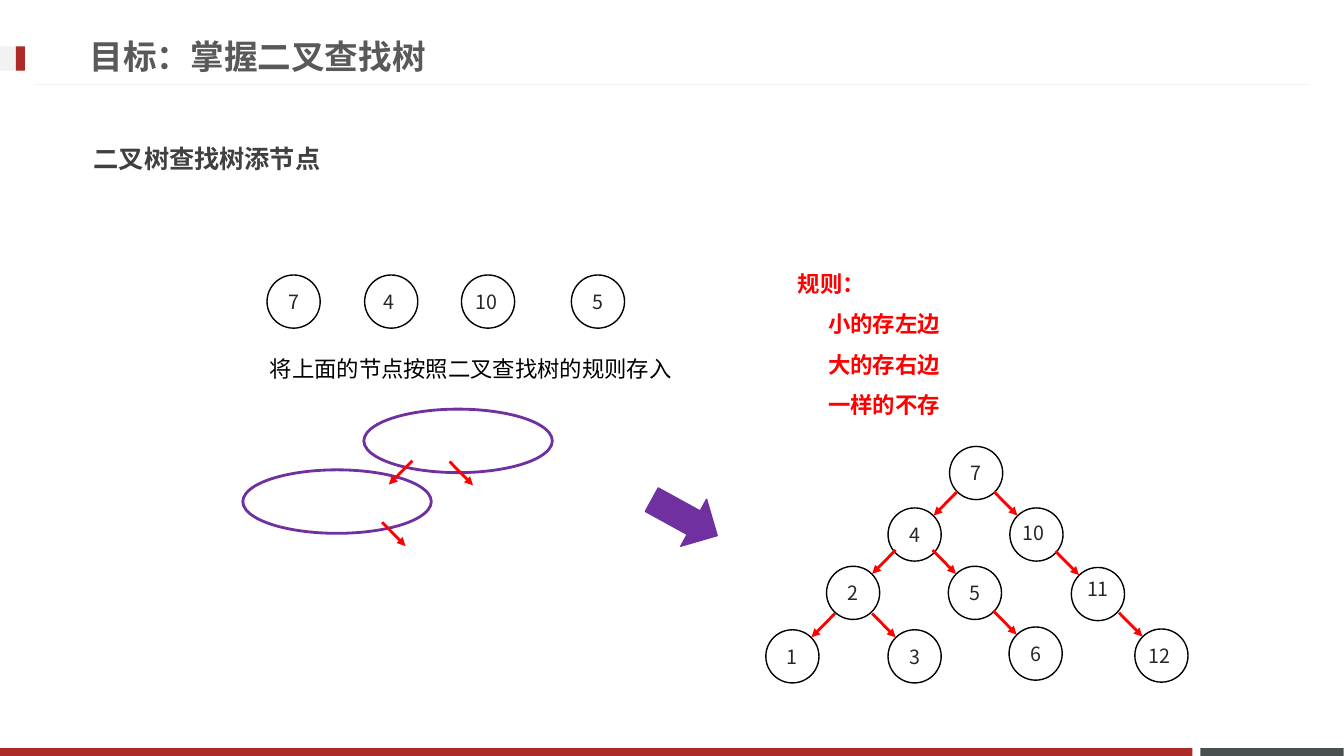
from lxml import etree
from pptx import Presentation
from pptx.dml.color import RGBColor
from pptx.enum import shapes, text
from pptx.oxml.ns import qn
from pptx.util import Cm, Pt

RED = RGBColor(0xFF, 0, 0)
BRICK = RGBColor(0xAD, 0x2B, 0x26)
SLATE = RGBColor(0x49, 0x50, 0x4F)
PALE = RGBColor(0xF2, 0xF2, 0xF2)
PURPLE = RGBColor(0x70, 0x30, 0xA0)
BLACK = RGBColor(0, 0, 0)
INK = RGBColor(0x26, 0x26, 0x26)
DARK = RGBColor(0x40, 0x40, 0x40)
GREY = RGBColor(0x59, 0x59, 0x59)
SANS, BOLD = "Noto Sans CJK SC", "Noto Sans CJK JP"

# Lengths in cm
SIZE = 1.34  # node diameter
TAG = (1.09, 0.86)  # box of a floating node label
STEP = (0.59, 0.6)  # run and drop of a branch arrow
REACH = 0.48  # child centre to arrow tip, across and up

BARS = [  # left, top, width, height, colour
    (30.25, 18.85, 3.61, 0.2, SLATE),
    (0, 18.85, 30.05, 0.2, BRICK),
    (0, 1.17, 0.63, 0.61, PALE),
    (0.4, 1.17, 0.23, 0.61, BRICK),
]
# label, left, top, shift of a floating label (None: text sits in the node)
QUEUE = [
    ("7", 6.73, 6.93, None),
    ("4", 9.19, 6.93, (-0.06, 0)),
    ("10", 11.63, 6.93, (-0.03, 0)),
    ("5", 14.4, 6.93, (0, 0)),
]
TREE = [
    ("7", 23.93, 11.25, None),
    ("4", 22.38, 12.8, None),
    ("10", 25.45, 12.8, (-0.07, -0.05)),
    ("2", 20.83, 14.27, None),
    ("5", 23.9, 14.27, None),
    ("11", 27, 14.3, (0, -0.13)),
    ("1", 19.3, 15.87, None),
    ("3", 22.38, 15.87, None),
    ("6", 25.43, 15.8, None),
    ("12", 28.6, 15.85, (-0.05, 0)),
]
LEFT = {"4", "2", "1"}  # left children; the others hang right
OVALS = [(9.17, 10.31), (6.12, 11.84)]
BRANCHES = [(10.39, 11.61, -1), (11.33, 11.63, 1), (9.63, 13.16, 1)]
TITLE = "目标：掌握二叉查找树"
HEAD = "二叉树查找树添节点"
TASK = "将上面的节点按照二叉查找树的规则存入"
RULES = ["规则：", "小的存左边", "大的存右边", "一样的不存"]

deck = Presentation()
deck.slide_width, deck.slide_height = Cm(33.87), Cm(19.05)
slide = deck.slides.add_slide(deck.slide_layouts[6])


def style(par, size, color, font, bold=False, gap=None):
    par.line_spacing = gap
    for run in par.runs:
        run.font.size, run.font.bold = Pt(size), bold
        run.font.name, run.font.color.rgb = font, color
        east = etree.SubElement(run.font._element, qn("a:ea"))
        east.set("typeface", font)


def shape(kind, left, top, wide, high, fill=None, line=None, width=1):
    item = slide.shapes.add_shape(kind, Cm(left), Cm(top), Cm(wide), Cm(high))
    item.shadow.inherit = False
    if fill is None:
        item.fill.background()
    else:
        item.fill.solid()
        item.fill.fore_color.rgb = fill
    if line is None:
        item.line.fill.background()
    else:
        item.line.color.rgb, item.line.width = line, Pt(width)
    return item


def line(x1, y1, x2, y2, color, width, head=False):
    item = slide.shapes.add_connector(
        shapes.MSO_CONNECTOR.STRAIGHT, Cm(x1), Cm(y1), Cm(x2), Cm(y2))
    item.line.color.rgb, item.line.width = color, Pt(width)
    if head:
        tail = etree.SubElement(item.line._get_or_add_ln(), qn("a:tailEnd"))
        tail.set("type", "triangle")
    etree.SubElement(item._element.spPr, qn("a:effectLst"))


def branch(x, y, side):
    """Arrow down from (x, y), to the left (-1) or right (1)."""
    line(x, y, x + side * STEP[0], y + STEP[1], RED, 2, True)


def box(left, top, wide, high, lines, wrap=True, grow=True):
    frame = slide.shapes.add_textbox(
        Cm(left), Cm(top), Cm(wide), Cm(high)).text_frame
    frame.text = "\n".join(lines)
    frame.word_wrap = wrap
    if grow:
        frame.auto_size = text.MSO_AUTO_SIZE.SHAPE_TO_FIT_TEXT
    return frame


def node(label, left, top, shift):
    ring = shape(shapes.MSO_SHAPE.OVAL, left, top, SIZE, SIZE, line=BLACK)
    if shift is None:
        frame = ring.text_frame
        frame.text = label
        frame.margin_left = frame.margin_right = 0
        frame.vertical_anchor = text.MSO_ANCHOR.MIDDLE
    else:
        x, y = (at + (SIZE - span) / 2 + move
                for at, span, move in zip((left, top), TAG, shift))
        frame = box(x, y, *TAG, [label], wrap=False)
    par = frame.paragraphs[0]
    par.alignment = text.PP_ALIGN.CENTER
    style(par, 14, INK, SANS)


for *area, color in BARS:
    shape(shapes.MSO_SHAPE.RECTANGLE, *area, fill=color)
line(32.97, 2.13, 0.89, 2.13, PALE, 0.75)

title = box(2.01, -0.03, 19.94, 3, [TITLE], grow=False)
title.vertical_anchor = text.MSO_ANCHOR.MIDDLE
style(title.paragraphs[0], 24, GREY, BOLD, True, 0.9)
head = box(2.11, 3.1, 11.2, 1.3, [HEAD])
style(head.paragraphs[0], 18, DARK, BOLD, True, 1.5)
task = box(6.55, 8.48, 12.8, 1.17, [TASK])
style(task.paragraphs[0], 16, BLACK, SANS, gap=1.5)
rules = box(19.86, 6.35, 12.8, 4.27, RULES)
for rank, par in enumerate(rules.paragraphs):
    style(par, 16, RED, BOLD, True, 1.5)
    if rank:
        par._p.get_or_add_pPr().set("marL", str(Cm(0.76)))

for item in QUEUE + TREE:
    node(*item)
for label, left, top, _ in TREE[1:]:
    side = -1 if label in LEFT else 1
    mid = SIZE / 2
    branch(left + mid - side * (REACH + STEP[0]),
           top + mid - REACH - STEP[1], side)

for left, top in OVALS:
    shape(shapes.MSO_SHAPE.OVAL, left, top, 4.75, 1.6, line=PURPLE, width=2)
for spot in BRANCHES:
    branch(*spot)
arrow = shape(shapes.MSO_SHAPE.RIGHT_ARROW, 16.31, 12.37, 1.88, 1.35,
              PURPLE, PURPLE)
arrow.rotation = 28.8

deck.save("out.pptx")
